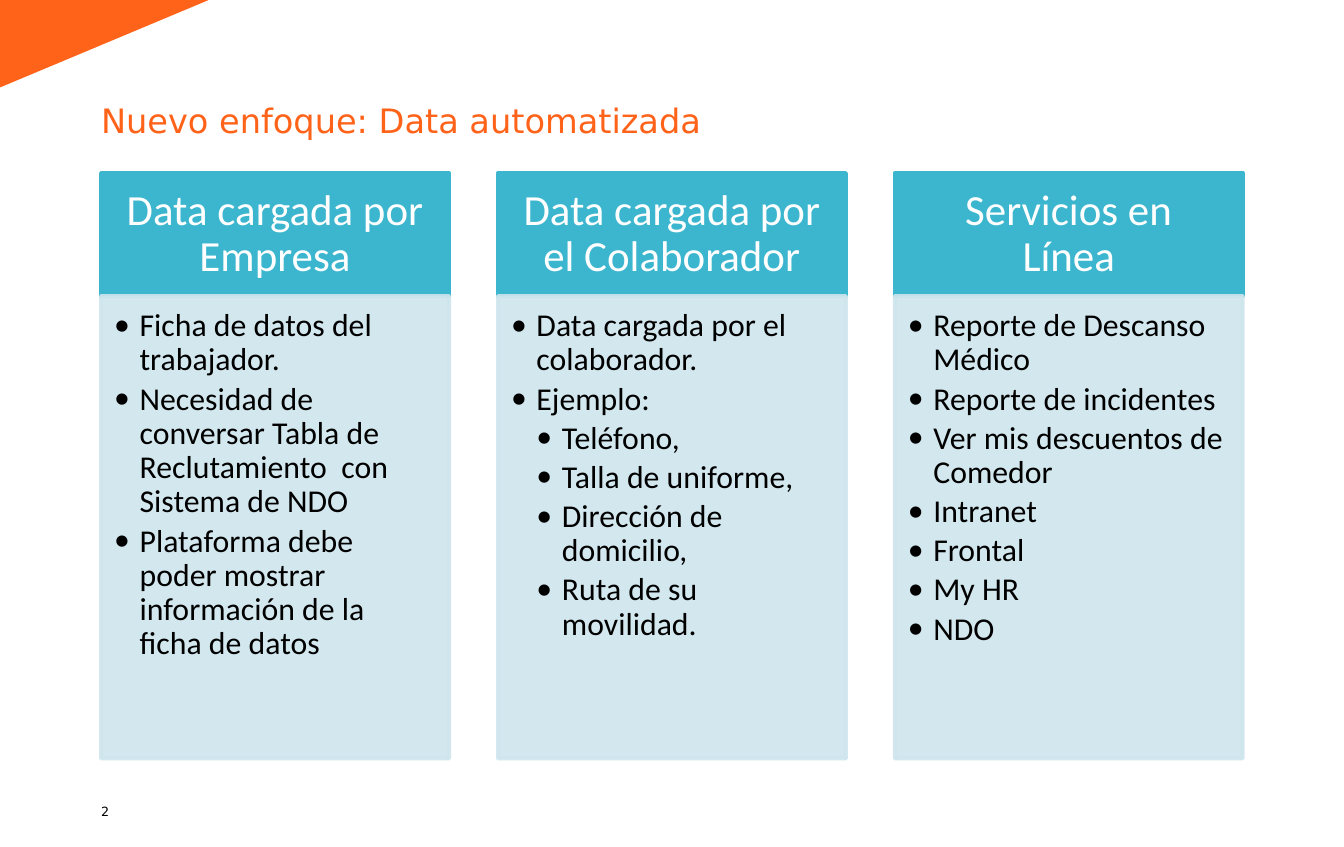
"""Build the slide on automated data: three headed columns of bullet points."""
from lxml.etree import SubElement
from pptx import Presentation
from pptx.dml.color import RGBColor
from pptx.enum.shapes import MSO_SHAPE
from pptx.enum.text import MSO_ANCHOR, MSO_AUTO_SIZE, PP_ALIGN
from pptx.oxml.ns import qn
from pptx.util import Cm, Pt


def rgb(value):
    return RGBColor.from_string(value)


def write(sp, lines, font, size, color, margins, anchor, align=PP_ALIGN.LEFT):
    tf = sp.text_frame
    tf.word_wrap = True
    tf.auto_size = MSO_AUTO_SIZE.NONE
    tf.vertical_anchor = anchor
    tf.margin_left, tf.margin_top, tf.margin_right, tf.margin_bottom = [Cm(m) for m in margins]
    tf.text = "\n".join(lines)
    for p in tf.paragraphs:
        p.alignment = align
        p.line_spacing = 0.9
        for r in p.runs:
            r.font.name = font
            r.font.size = Pt(size)
            r.font.color.rgb = rgb(color)


ORANGE, TEAL, PALE, BLACK, WHITE = "FF6319", "3CB6CE", "CEE5ED", "000000", "FFFFFF"
LEFT, WIDTH, PITCH = 1.91, 6.58, 7.5
HEAD_TOP, HEAD_HEIGHT, BODY_HEIGHT = 3.27, 2.32, 8.74
INDENT = 0.48
columns = [
    ("Data cargada por Empresa", [
        (0, "Ficha de datos del trabajador."),
        (0, "Necesidad de conversar Tabla de Reclutamiento  con Sistema de NDO"),
        (0, "Plataforma debe poder mostrar información de la ficha de datos"),
    ]),
    ("Data cargada por el Colaborador", [
        (0, "Data cargada por el colaborador."),
        (0, "Ejemplo:"),
        (1, "Teléfono,"),
        (1, "Talla de uniforme,"),
        (1, "Dirección de domicilio,"),
        (1, "Ruta de su movilidad."),
    ]),
    ("Servicios en Línea", [
        (0, "Reporte de Descanso Médico"),
        (0, "Reporte de incidentes"),
        (0, "Ver mis descuentos de Comedor"),
        (0, "Intranet"),
        (0, "Frontal"),
        (0, "My HR"),
        (0, "NDO"),
    ]),
]

prs = Presentation()
prs.slide_width, prs.slide_height = Cm(25.4), Cm(16)
s = prs.slides.add_slide(prs.slide_layouts[5])

corner = s.shapes.add_shape(MSO_SHAPE.RIGHT_TRIANGLE, Cm(1.14), Cm(-1.14), Cm(1.65), Cm(3.94))
corner.rotation = 90
corner.shadow.inherit = False
corner.fill.solid()
corner.fill.fore_color.rgb = rgb(ORANGE)
corner.line.fill.background()

title = s.shapes.title
title.left, title.top, title.width, title.height = Cm(LEFT), Cm(0.53), Cm(21.59), Cm(2.13)
write(title, ["Nuevo enfoque: Data automatizada"], "DejaVu Sans", 18, ORANGE,
      (0, 0, 0, 0), MSO_ANCHOR.BOTTOM)

for i, (heading, items) in enumerate(columns):
    left = Cm(LEFT + i * PITCH)
    head = s.shapes.add_shape(MSO_SHAPE.RECTANGLE, left, Cm(HEAD_TOP), Cm(WIDTH), Cm(HEAD_HEIGHT))
    body = s.shapes.add_shape(MSO_SHAPE.RECTANGLE, left, Cm(HEAD_TOP + HEAD_HEIGHT),
                              Cm(WIDTH), Cm(BODY_HEIGHT))
    for sp, color in ((head, TEAL), (body, PALE)):
        sp.shadow.inherit = False
        sp.fill.solid()
        sp.fill.fore_color.rgb = rgb(color)
        sp.line.color.rgb = rgb(color)
        sp.line.width = Pt(2)
    for clr in body._element.spPr.iter(qn("a:srgbClr")):
        SubElement(clr, qn("a:alpha"), val="90000")

    write(head, [heading], "Calibri", 23, WHITE, (0.45, 0.26, 0.45, 0.26),
          MSO_ANCHOR.MIDDLE, PP_ALIGN.CENTER)
    write(body, [text for level, text in items], "Calibri", 17, BLACK,
          (0.25, 0.25, 0.32, 0.37), MSO_ANCHOR.TOP)
    for p, (level, text) in zip(body.text_frame.paragraphs, items):
        p.level = level
        p.space_after = Pt(2.6)
        pPr = p._p.get_or_add_pPr()
        pPr.set("marL", str(Cm(INDENT * (level + 1))))
        pPr.set("indent", str(Cm(-INDENT)))
        SubElement(pPr, qn("a:buFont"), typeface="Calibri")
        SubElement(pPr, qn("a:buChar"), char="•")

number = s.shapes.add_textbox(Cm(LEFT), Cm(14.94), Cm(1.27), Cm(0.53))
write(number, ["2"], "DejaVu Sans", 6.8, BLACK, (0, 0, 0, 0), MSO_ANCHOR.BOTTOM)

prs.save("out.pptx")
